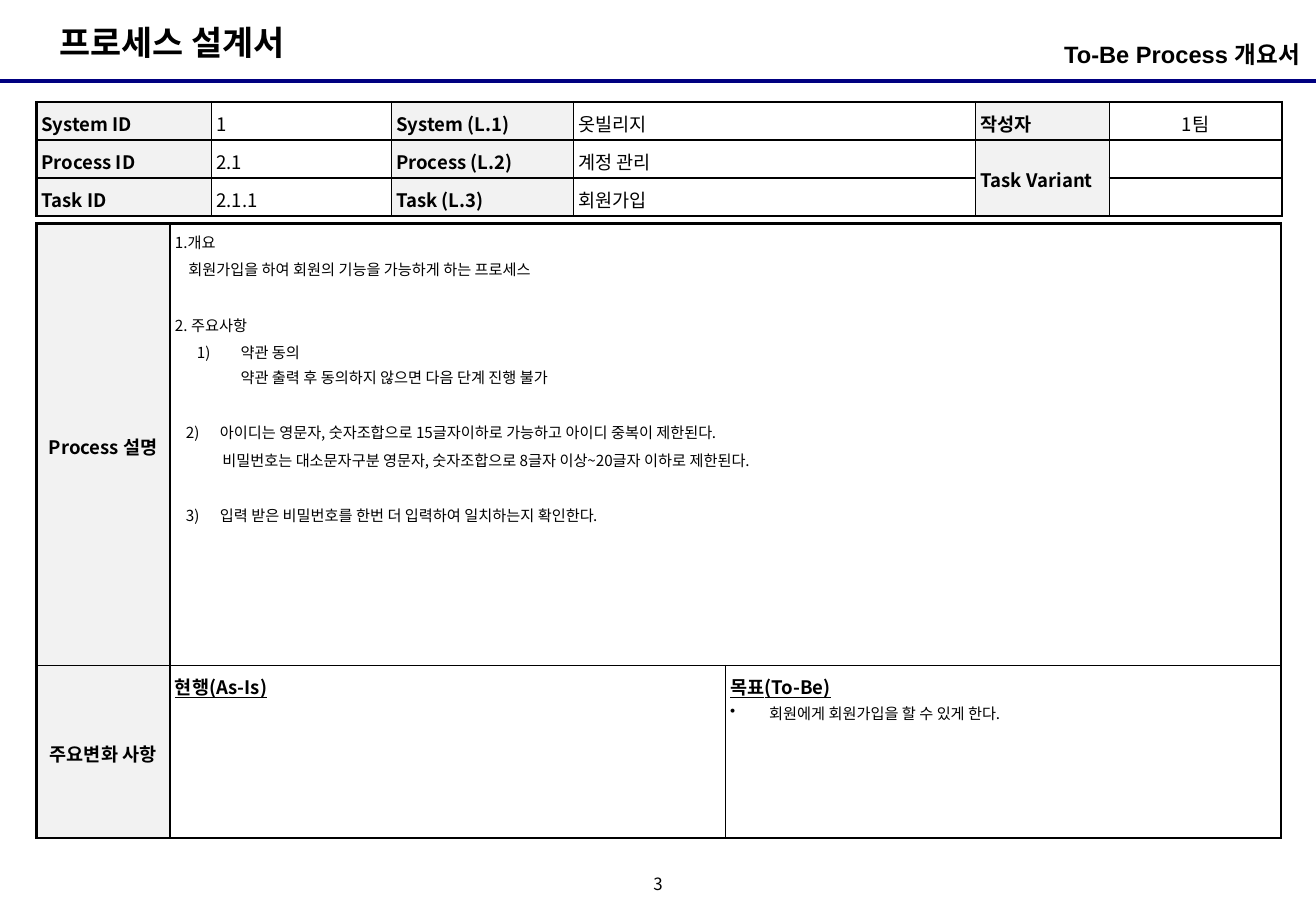
from lxml import etree
from pptx import Presentation
from pptx.dml.color import RGBColor
from pptx.enum.shapes import MSO_CONNECTOR
from pptx.enum.text import MSO_ANCHOR, PP_ALIGN
from pptx.oxml.ns import qn
from pptx.util import Inches, Pt

COLORS = {"text": "000000", "rule": "000080", "label": "F2F2F2", "value": "FFFFFF"}
BODY_FONT, TITLE_FONT = "Noto Sans CJK KR", "Arial"
LEFT, CENTER, RIGHT = PP_ALIGN.LEFT, PP_ALIGN.CENTER, PP_ALIGN.RIGHT
TOP, MIDDLE = MSO_ANCHOR.TOP, MSO_ANCHOR.MIDDLE
STRAIGHT = MSO_CONNECTOR.STRAIGHT
OUTER, INNER = 1.5, 1
CELL_INSET = 0.04
LABEL = {"size": 11, "bold": True}
VALUE = {"size": 11}
HEADING = {"size": 11, "bold": True, "underline": True}
GAP = {"before": 18.5}
NUMBERED = {"margin": 0.37, "indent": -0.28}

DESCRIPTION = [
    ("1.개요", {}),
    ("회원가입을 하여 회원의 기능을 가능하게 하는 프로세스", {"margin": 0.11, "before": 2}),
    ("2. 주요사항", GAP),
    ("약관 동의", {"margin": 0.54, "indent": -0.36, "before": 2, "number": 1}),
    ("약관 출력 후 동의하지 않으면 다음 단계 진행 불가", {"margin": 0.54}),
    ("아이디는 영문자, 숫자조합으로 15글자이하로 가능하고 아이디 중복이 제한된다.",
     {**NUMBERED, **GAP, "number": 2}),
    ("비밀번호는 대소문자구분 영문자, 숫자조합으로 8글자 이상~20글자 이하로 제한된다.",
     {"margin": 0.39, "before": 2}),
    ("입력 받은 비밀번호를 한번 더 입력하여 일치하는지 확인한다.",
     {**NUMBERED, **GAP, "number": 3}),
]
TARGET = [
    ("목표(To-Be)", HEADING),
    ("회원에게 회원가입을 할 수 있게 한다.", {"margin": 0.32, "indent": -0.32, "bullet": "•"}),
]
IDENTITY = [
    ["System ID", "1", "System (L.1)", "옷빌리지", "작성자", "1팀"],
    ["Process ID", "2.1", "Process (L.2)", "계정 관리", "Task Variant", ""],
    ["Task ID", "2.1.1", "Task (L.3)", "회원가입", "", ""],
]


def write_paragraphs(frame, lines, align=LEFT, spacing=1.1, font_name=BODY_FONT):
    """Fill a text frame with (text, format) lines."""
    frame.word_wrap = True
    for index, (text, style) in enumerate(lines):
        paragraph = frame.add_paragraph() if index else frame.paragraphs[0]
        size = style.get("size", 9)
        formats = {"alignment": align, "line_spacing": spacing,
                   "space_before": Pt(style.get("before", 0))}
        for name, value in formats.items():
            setattr(paragraph, name, value)
        properties = paragraph._p.get_or_add_pPr()
        properties.set("marL", str(Inches(style.get("margin", 0))))
        properties.set("indent", str(Inches(style.get("indent", 0))))
        if "number" in style:
            etree.SubElement(properties, qn("a:buAutoNum"), type="arabicParenR",
                             startAt=str(style["number"]))
        elif "bullet" in style:
            etree.SubElement(properties, qn("a:buChar"), char=style["bullet"])
        else:
            etree.SubElement(properties, qn("a:buNone"))
        if text:
            run = paragraph.add_run()
            run.text = text
            font = {"name": font_name, "size": Pt(size), "bold": style.get("bold", False),
                    "underline": style.get("underline", False)}
            for name, value in font.items():
                setattr(run.font, name, value)
            run.font.color.rgb = RGBColor.from_string(COLORS["text"])
            etree.SubElement(run._r.get_or_add_rPr(), qn("a:ea"), typeface=BODY_FONT)
        etree.SubElement(paragraph._p, qn("a:endParaRPr"), sz=str(size * 100))


def add_text(slide, box, line, inset=(0, 0), anchor=TOP, **layout):
    """Place one line of text in a box."""
    frame = slide.shapes.add_textbox(*map(Inches, box)).text_frame
    horizontal, vertical = map(Inches, inset)
    formats = {"margin_left": horizontal, "margin_right": horizontal,
               "margin_top": vertical, "margin_bottom": vertical, "vertical_anchor": anchor}
    for name, value in formats.items():
        setattr(frame, name, value)
    write_paragraphs(frame, [line], **layout)


def add_header(slide, box):
    """Draw the two titles and the rule at the bottom of the box."""
    left, top, width, height = box
    bottom = top + height
    rule = slide.shapes.add_connector(
        STRAIGHT, *map(Inches, (left, bottom, left + width, bottom)))
    rule.line.width = Pt(2.25)
    rule.line.color.rgb = RGBColor.from_string(COLORS["rule"])
    etree.SubElement(rule._element.spPr, qn("a:effectLst"))
    add_text(slide, (left + 0.39, top + 0.13, 2.26, 0.44),
             ("프로세스 설계서", {"size": 20, "bold": True}),
             inset=(0.1, 0.05), spacing=1, font_name=TITLE_FONT)
    add_text(slide, (left + width - 3.44, top + 0.28, 3.31, 0.39),
             ("To-Be Process 개요서", {"size": 14, "bold": True}),
             inset=(0, 0.05), align=RIGHT, spacing=1, font_name=TITLE_FONT)


def add_grid(slide, box, columns, rows):
    """Add an unstyled table with the given column and row sizes."""
    table = slide.shapes.add_table(len(rows), len(columns), *map(Inches, box)).table
    table.first_row = table.horz_banding = False
    for column, width in zip(table.columns, columns):
        column.width = Inches(width)
    for row, height in zip(table.rows, rows):
        row.height = Inches(height)
    return table


def fill_cell(cell, lines, color, anchor=TOP, align=LEFT):
    """Set the text, fill and margins of a cell."""
    formats = {f"margin_{side}": Inches(CELL_INSET)
               for side in ("left", "right", "top", "bottom")}
    for name, value in {**formats, "vertical_anchor": anchor}.items():
        setattr(cell, name, value)
    cell.fill.solid()
    cell.fill.fore_color.rgb = RGBColor.from_string(COLORS[color])
    write_paragraphs(cell.text_frame, lines, align)


def draw_borders(table):
    """Give the table a heavy outline and lighter inner lines."""
    last_row, last_column = len(table.rows), len(table.columns)
    for row in range(last_row):
        for column in range(last_column):
            cell = table.cell(row, column)
            edges = {"L": column == 0, "R": column + cell.span_width == last_column,
                     "T": row == 0, "B": row + cell.span_height == last_row}
            properties = cell._tc.get_or_add_tcPr()
            for position, (side, outer) in enumerate(edges.items()):
                line = etree.Element(qn(f"a:ln{side}"), w=str(Pt(OUTER if outer else INNER)))
                fill = etree.SubElement(line, qn("a:solidFill"))
                etree.SubElement(fill, qn("a:srgbClr"), val=COLORS["text"])
                properties.insert(position, line)


def add_identity_table(slide, box):
    """Draw the table of identifiers and names."""
    table = add_grid(slide, box, [1.44, 1.48, 1.5, 3.31, 1.1, 1.42], [box[3] / 3] * 3)
    for row, texts in enumerate(IDENTITY):
        for column, text in enumerate(texts):
            style, color = (VALUE, "value") if column % 2 else (LABEL, "label")
            fill_cell(table.cell(row, column), [(text, style)], color,
                      MIDDLE if column > 3 else TOP, CENTER if column == 5 else LEFT)
    table.cell(1, 4).merge(table.cell(2, 4))
    draw_borders(table)


def add_process_table(slide, box):
    """Draw the table of the process description and its changes."""
    table = add_grid(slide, box, [1.1, 4.57, 4.57], [3.64, 1.42])
    for row, label in enumerate(["Process 설명", "주요변화 사항"]):
        fill_cell(table.cell(row, 0), [(label, LABEL)], "label", MIDDLE, CENTER)
    contents = {(0, 1): DESCRIPTION, (0, 2): [("", {})],
                (1, 1): [("현행(As-Is)", HEADING)], (1, 2): TARGET}
    for position, lines in contents.items():
        fill_cell(table.cell(*position), lines, "value")
    table.cell(0, 1).merge(table.cell(0, 2))
    draw_borders(table)


def build():
    """Build and save the process overview slide."""
    presentation = Presentation()
    presentation.slide_width, presentation.slide_height = Inches(10.83), Inches(7.5)
    slide = presentation.slides.add_slide(presentation.slide_layouts[6])
    add_header(slide, (0, 0, 10.83, 0.67))
    add_identity_table(slide, (0.3, 0.84, 10.24, 0.94))
    add_process_table(slide, (0.3, 1.84, 10.24, 5.06))
    add_text(slide, (5.25, 7.17, 0.33, 0.25), ("3", {"size": 10}),
             anchor=MIDDLE, align=CENTER, spacing=0.8)
    presentation.save("out.pptx")


build()
